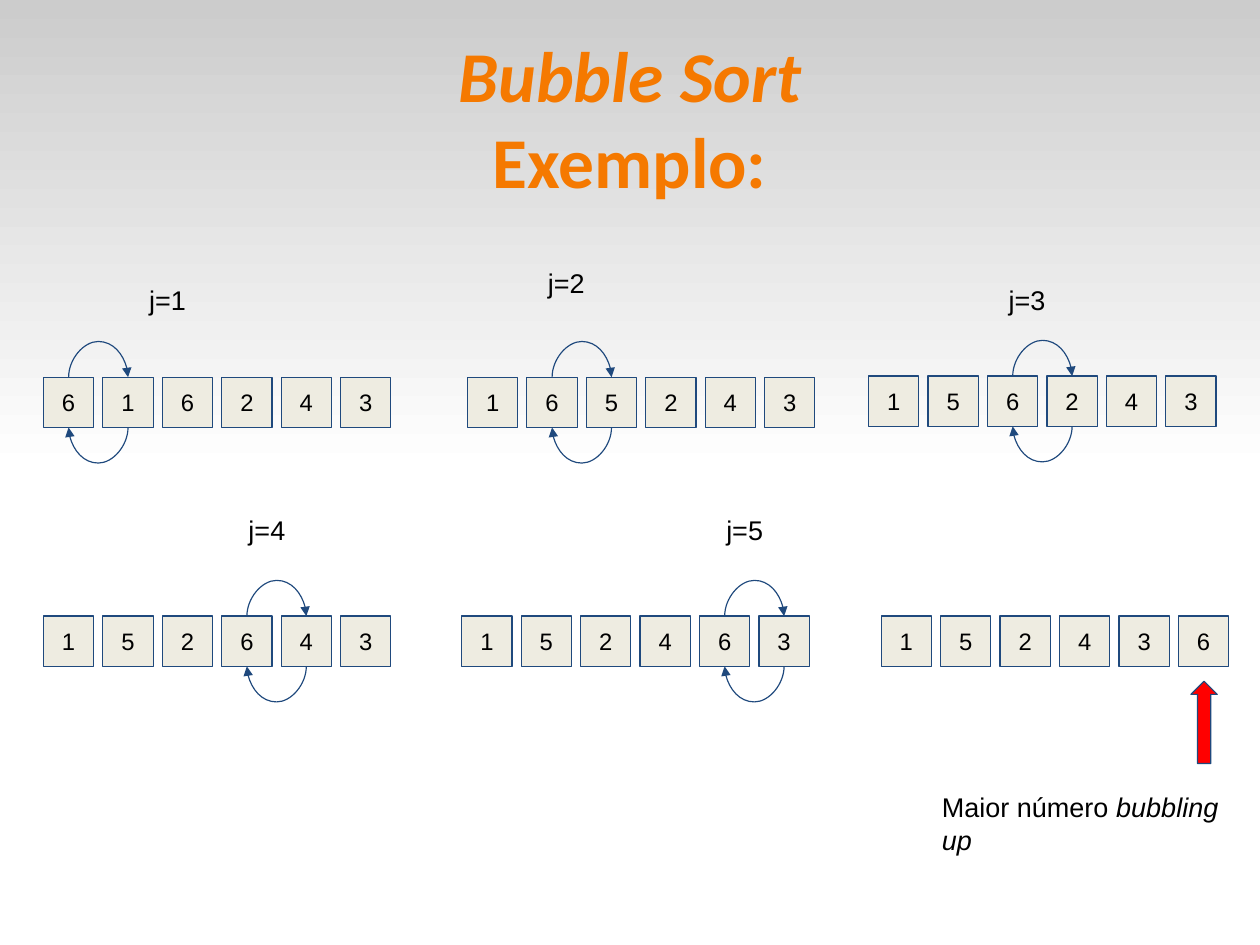
from dataclasses import dataclass

from pptx import Presentation
from pptx import util as u
from pptx.dml.color import RGBColor
from pptx.enum import shapes, text
from pptx.oxml import parse_xml
from pptx.oxml.ns import nsdecls, qn


@dataclass(frozen=True)
class Theme:
    title: str = "F57900"
    ink: str = "000000"
    box: str = "EEECE1"
    line: str = "1F497D"
    marker: str = "FF0000"
    fade: tuple = ("CCCCCC", "FFFFFF")
    head_font: str = "Calibri"
    body_font: str = "Arial"
    title_size: int = 45
    label_size: int = 17
    box_size: int = 15
    line_width: float = 0.75


BOX, PITCH = 0.44, 0.52
ARC_EXTENT = 600  # EMU; the bulge of an arc is a multiple of this
ARC_BULGE = u.Inches(0.26) * 100000 // ARC_EXTENT


class Deck:
    def __init__(self, theme, width, height):
        self.t = theme
        self.prs = Presentation()
        self.prs.slide_width, self.prs.slide_height = width, height
        self.s = self.prs.slides.add_slide(self.prs.slide_layouts[6])

    def style_font(self, font, name, size, color):
        font.name, font.size = name, u.Pt(size)
        font.color.rgb = RGBColor.from_string(color)

    def outline(self, item):
        item.line.color.rgb = RGBColor.from_string(self.t.line)
        item.line.width = u.Pt(self.t.line_width)

    def frame(self, sp, inset, anchor, align):
        tf = sp.text_frame
        tf.word_wrap = True
        tf.margin_left = tf.margin_top = tf.margin_right = tf.margin_bottom = u.Inches(inset)
        tf.vertical_anchor = anchor
        p = tf.paragraphs[0]
        p.alignment = align
        return p

    def shape(self, kind, x, y, w, h, fill=None):
        sp = self.s.shapes.add_shape(kind, *map(u.Inches, (x, y, w, h)))
        sp.shadow.inherit = False
        if fill:
            sp.fill.solid()
            sp.fill.fore_color.rgb = RGBColor.from_string(fill)
            self.outline(sp)
        return sp

    def backdrop(self, h):
        sp = self.shape(shapes.MSO_SHAPE.RECTANGLE, 0, 0, 1, h)
        sp.width = self.prs.slide_width
        sp.line.fill.background()
        sp.fill.gradient()
        sp.fill.gradient_angle = 270
        for i, (stop, color) in enumerate(zip(sp.fill.gradient_stops, self.t.fade)):
            stop.position = i
            stop.color.rgb = RGBColor.from_string(color)

    def text_box(self, x, y, w, h, inset, anchor, align):
        sp = self.s.shapes.add_textbox(*map(u.Inches, (x, y, w, h)))
        return self.frame(sp, inset, anchor, align)

    def title(self, x, y, w, h, first, second):
        p = self.text_box(x, y, w, h, 0, text.MSO_ANCHOR.MIDDLE, text.PP_ALIGN.CENTER)
        self.style_font(p.font, self.t.head_font, self.t.title_size, self.t.title)
        p.font.bold = True
        r = p.add_run()
        r.text, r.font.italic = first, True
        p.add_line_break()
        p.add_run().text = second

    def label(self, x, y, w, h, words, italic="", align=text.PP_ALIGN.CENTER):
        p = self.text_box(x, y, w, h, 0.12, text.MSO_ANCHOR.TOP, align)
        self.style_font(p.font, self.t.body_font, self.t.label_size, self.t.ink)
        p.add_run().text = words
        if italic:
            r = p.add_run()
            r.text, r.font.italic = italic, True

    def array(self, x, y, digits):
        boxes = []
        for i, digit in enumerate(digits):
            sp = self.shape(shapes.MSO_SHAPE.RECTANGLE, x + i * PITCH, y, BOX, BOX, self.t.box)
            p = self.frame(sp, 0.1, text.MSO_ANCHOR.MIDDLE, text.PP_ALIGN.CENTER)
            p.text = digit
            self.style_font(p.font, self.t.body_font, self.t.box_size, self.t.ink)
            boxes.append(sp)
        return boxes

    def arc(self, start, end, above):
        """Curved arrow between two neighbouring boxes, above or below them."""
        c = self.s.shapes.add_connector(shapes.MSO_CONNECTOR.CURVE, 0, 0, 0, 0)
        site = 0 if above else 2
        c.begin_connect(start, site)
        c.end_connect(end, site)
        edge = start.top if above else start.top + start.height
        span = abs(end.left - start.left)
        middle = (start.left + end.left + start.width) // 2
        c.left, c.top = middle - ARC_EXTENT // 2, edge - span // 2
        c.width, c.height = ARC_EXTENT, span
        self.outline(c)
        # Turn, bulge, arrowhead and no shadow
        spPr = c._element.spPr
        xfrm = spPr.find(qn("a:xfrm"))
        for flip in ("flipH", "flipV"):
            xfrm.attrib.pop(flip, None)
        xfrm.set("rot", "16200000" if above else "5400000")
        if above:
            xfrm.set("flipH", "1")
        bulge = -ARC_BULGE if above else ARC_BULGE
        geom = spPr.find(qn("a:prstGeom"))
        for old in list(geom):
            geom.remove(old)
        geom.append(parse_xml(f'<a:avLst {nsdecls("a")}><a:gd name="adj1" fmla="val {bulge}"/></a:avLst>'))
        spPr.find(qn("a:ln")).append(parse_xml(f'<a:tailEnd {nsdecls("a")} type="triangle"/>'))
        spPr.append(parse_xml(f'<a:effectLst {nsdecls("a")}/>'))

    def swap(self, left, right):
        self.arc(left, right, above=True)
        self.arc(right, left, above=False)


# Array left and top, digits, index of the swapped pair, label left and top
STEPS = [
    (0.38, 3.3, "616243", 0, 1.12, 2.36),
    (4.09, 3.3, "165243", 1, 4.61, 2.21),
    (7.6, 3.29, "156243", 2, 8.64, 2.36),
    (0.38, 5.39, "152643", 3, 1.99, 4.37),
    (4.04, 5.39, "152463", 4, 6.17, 4.37),
]


def main():
    deck = Deck(Theme(), u.Cm(28), u.Cm(21))

    # Background and title
    deck.backdrop(4.13)
    deck.title(0.55, 0.28, 9.92, 1.49, "Bubble Sort", "Exemplo:")

    # One array per comparison
    for j, (x, y, digits, pair, label_x, label_y) in enumerate(STEPS, 1):
        boxes = deck.array(x, y, digits)
        deck.swap(boxes[pair], boxes[pair + 1])
        deck.label(label_x, label_y, 0.69, 0.53, f"j={j}")

    # Result with the largest number at the end
    deck.array(7.71, 5.39, "152436")
    deck.shape(shapes.MSO_SHAPE.UP_ARROW, 10.42, 5.96, 0.23, 0.72, deck.t.marker)
    deck.label(8.12, 6.8, 2.76, 0.82, "Maior número ", "bubbling up", text.PP_ALIGN.LEFT)

    deck.prs.save("out.pptx")


if __name__ == "__main__":
    main()
